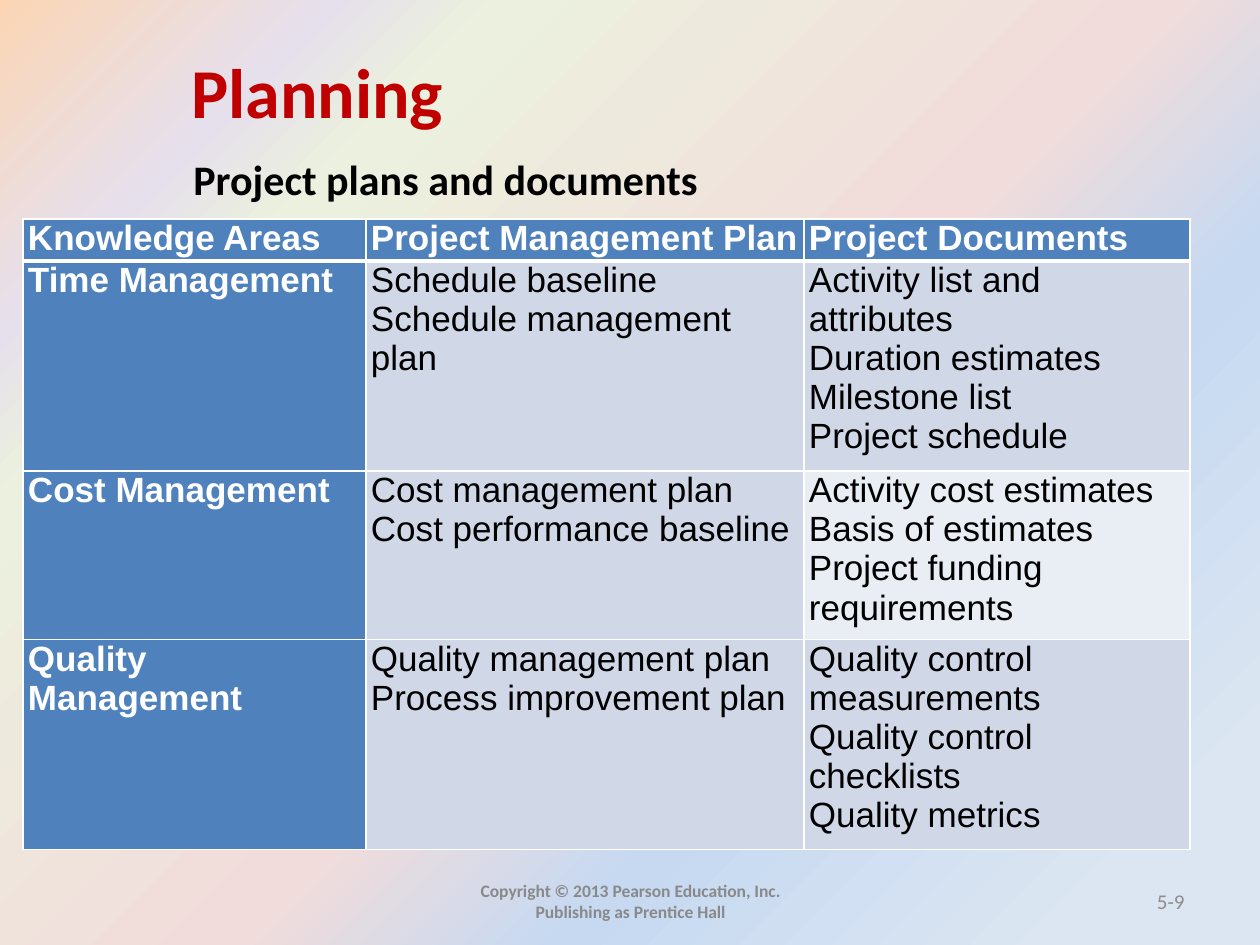
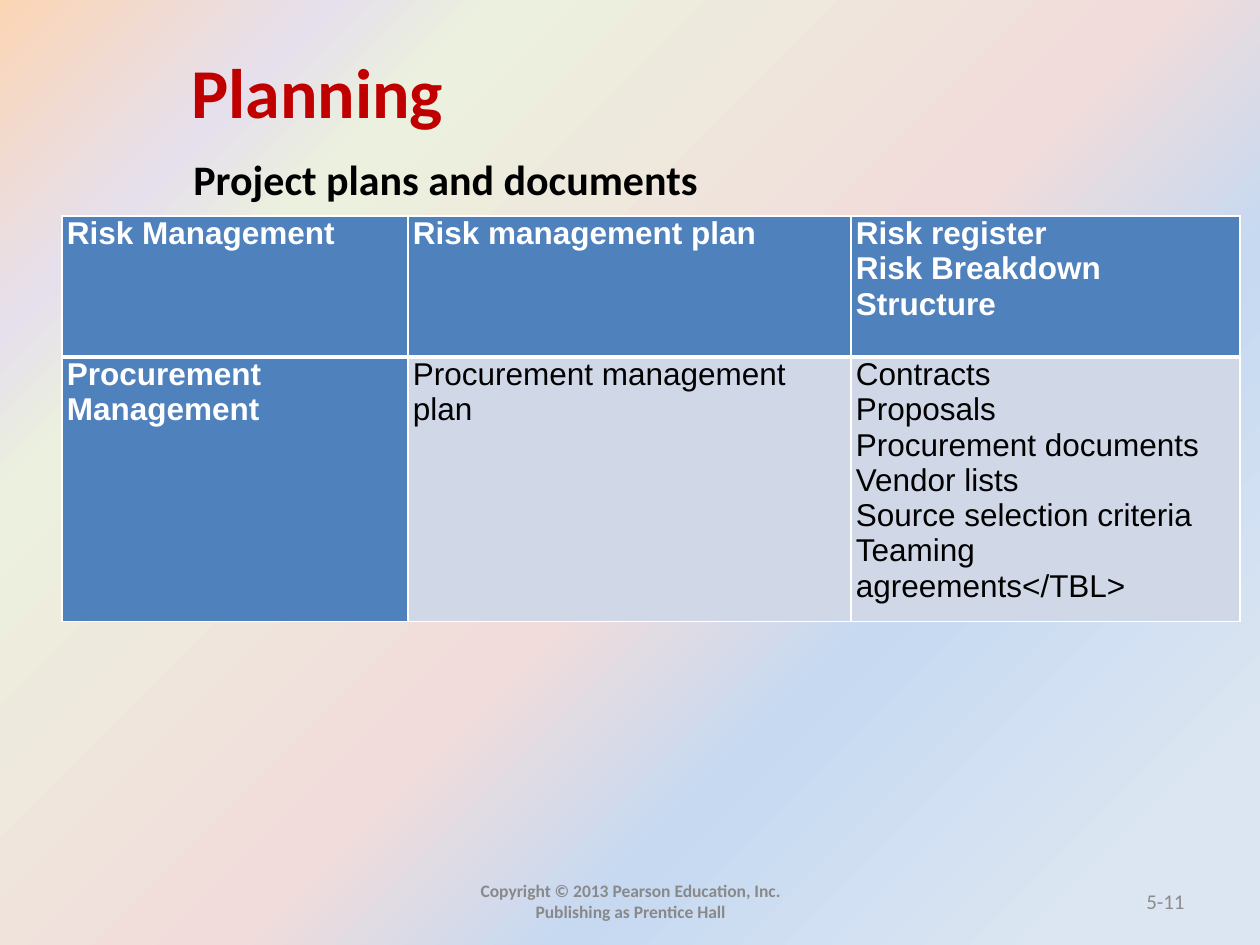
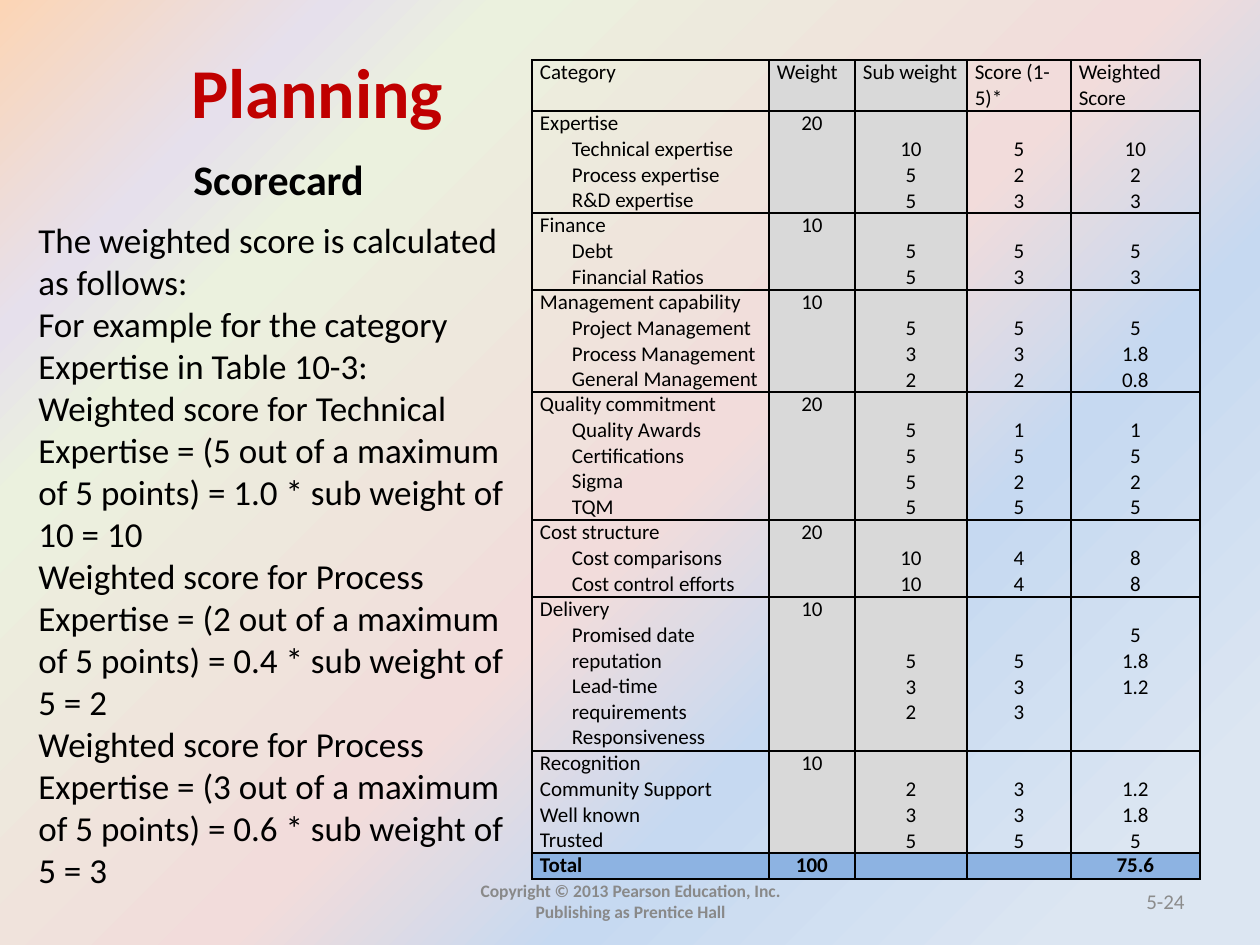
from lxml.etree import SubElement
from pptx import Presentation
from pptx.dml.color import RGBColor
from pptx.enum.text import MSO_ANCHOR, PP_ALIGN
from pptx.oxml.ns import qn
from pptx.util import Emu, Pt

HUES = {
    "title": "C00000", "ink": "000000", "white": "FFFFFF", "foot": "898989",
    "page": "8C8C8C", "head": "4F81BD", "band": "D0D8E8", "pale": "E9EDF4",
    "gray": "D9D9D9", "total": "8DB3E2",
}
STOPS = [(9, "DCE6F2"), (32, "C6D9F1"), (47, "F2DCDB"),
         (77, "EBF1DE"), (85, "E6E0EC"), (100, "FCD5B5")]
PAGE = (0, 0, 1260, 945)
COPY = "Copyright © 2013 Pearson Education, Inc. Publishing as Prentice Hall"

AREAS = [
    ["Knowledge Areas", "Project Management Plan", "Project Documents"],
    ["Time Management", "Schedule baseline\nSchedule management plan",
     "Activity list and attributes\nDuration estimates\nMilestone list\nProject schedule"],
    ["Cost Management", "Cost management plan\nCost performance baseline",
     "Activity cost estimates\nBasis of estimates\nProject funding requirements"],
    ["Quality Management", "Quality management plan\nProcess improvement plan",
     "Quality control measurements\nQuality control checklists\nQuality metrics"],
]
RISKS = [
    ["Risk Management", "Risk management plan", "Risk register\nRisk Breakdown Structure"],
    ["Procurement Management", "Procurement management plan",
     "Contracts\nProposals\nProcurement documents\nVendor lists\n"
     "Source selection criteria\nTeaming agreements</TBL>"],
]
SCORES = [
    ["Category", "Weight", "Sub weight", "Score (1-5)*", "Weighted Score"],
    ["Expertise\nTechnical expertise\nProcess expertise\nR&D expertise",
     "20", "10\n5\n5", "5\n2\n3", "10\n2\n3"],
    ["Finance\nDebt\nFinancial Ratios", "10", "5\n5", "5\n3", "5\n3"],
    ["Management capability\nProject Management\nProcess Management\nGeneral Management",
     "10", "5\n3\n2", "5\n3\n2", "5\n1.8\n0.8"],
    ["Quality commitment\nQuality Awards\nCertifications\nSigma\nTQM",
     "20", "5\n5\n5\n5", "1\n5\n2\n5", "1\n5\n2\n5"],
    ["Cost structure\nCost comparisons\nCost control efforts",
     "20", "10\n10", "4\n4", "8\n8"],
    ["Delivery\nPromised date reputation\nLead-time requirements\nResponsiveness",
     "10", "5\n3\n2", "5\n3\n3", "5\n1.8\n1.2"],
    ["Recognition\nCommunity Support\nWell known\nTrusted",
     "10", "2\n3\n5", "3\n3\n5", "1.2\n1.8\n5"],
    ["Total", "100", "", "", "75.6"],
]
NOTES = "\n".join([
    "The weighted score is calculated as follows:",
    "For example for the category Expertise in Table 10-3:",
    "Weighted score for Technical Expertise = (5 out of a maximum of 5 points)"
    " = 1.0 * sub weight of 10 = 10",
    "Weighted score for Process Expertise = (2 out of a maximum of 5 points)"
    " = 0.4 * sub weight of 5 = 2",
    "Weighted score for Process Expertise = (3 out of a maximum of 5 points)"
    " = 0.6 * sub weight of 5 = 3",
])


def px(count):
    return Emu(round(count * 914400 / 126))


def write(frame, text, size, hue="ink", bold=False, align=PP_ALIGN.LEFT,
          face="Calibri", indent=0):
    for i, line in enumerate(text.split("\n")):
        para = frame.add_paragraph() if i else frame.paragraphs[0]
        if i and indent:
            para._p.get_or_add_pPr().set("marL", str(px(indent)))
        para.alignment = align
        if line:
            para.text = line
        else:
            SubElement(para._p, qn("a:endParaRPr"), sz=str(size * 100))
        font = para.font
        font.name, font.size, font.bold = face, Pt(size), bold
        font.color.rgb = RGBColor.from_string(HUES[hue])


def label(slide, box, text, size, wrap=True, mid=False, **style):
    frame = slide.shapes.add_textbox(*map(px, box)).text_frame
    frame.word_wrap = wrap
    frame.vertical_anchor = MSO_ANCHOR.MIDDLE if mid else MSO_ANCHOR.TOP
    write(frame, text, size, **style)


def edge(cell, hue, top=1, bottom=1):
    props = cell._tc.get_or_add_tcPr()
    for side, width in zip("LRTB", (1, 1, top, bottom)):
        line = SubElement(props, qn(f"a:ln{side}"), w=str(Pt(width)))
        fill = SubElement(line, qn("a:solidFill"))
        SubElement(fill, qn("a:srgbClr"), val=HUES[hue])


def paint(cell, hue):
    if hue:
        cell.fill.solid()
        cell.fill.fore_color.rgb = RGBColor.from_string(HUES[hue])
    else:
        cell.fill.background()


def grid(slide, spot, cols, rows, pad):
    box = (*spot, sum(cols), sum(rows))
    table = slide.shapes.add_table(len(rows), len(cols), *map(px, box)).table
    table.first_row = table.horz_banding = False
    for col, width in zip(table.columns, cols):
        col.width = px(width)
    for row, height in zip(table.rows, rows):
        row.height = px(height)
    for cell in table.iter_cells():
        cell.margin_left = cell.margin_right = px(pad)
        cell.margin_top = cell.margin_bottom = 0
    return table


def plan(slide, spot, cols, rows, data, size, pale=()):
    table = grid(slide, spot, cols, rows, 5)
    for r, texts in enumerate(data):
        for c, text in enumerate(texts):
            cell = table.cell(r, c)
            head = r == 0 or c == 0
            edge(cell, "white", 3 if r == 1 else 1, 3 if r == 0 else 1)
            paint(cell, "head" if head else "pale" if (r, c) in pale else "band")
            write(cell.text_frame, text, size, "white" if head else "ink", head,
                  face="Arial")


def score(slide, spot):
    cols = [237, 86, 112, 104, 129]
    rows = [51, 102, 77, 102, 128, 77, 154, 102, 26]
    table = grid(slide, spot, cols, rows, 8)
    last = len(SCORES) - 1
    for r, texts in enumerate(SCORES):
        for c, text in enumerate(texts):
            cell = table.cell(r, c)
            edge(cell, "ink")
            paint(cell, "total" if r == last else "gray" if c in (1, 2) else None)
            if 0 < r < last and c > 1:
                cell.margin_top = px(26)
                if c < 4:
                    cell.vertical_anchor = MSO_ANCHOR.MIDDLE
            write(cell.text_frame, text, 12, bold=r == last,
                  align=PP_ALIGN.CENTER if r and c else PP_ALIGN.LEFT,
                  indent=32 if c == 0 and texts[0][:5] != "Recog" else 0)


def base(deck, box, topic, page):
    x, y, w, h = box
    slide = deck.slides.add_slide(deck.slide_layouts[6])
    label(slide, (x + 179, y + 42, 280, 97), "Planning", 40, wrap=False,
          hue="title", bold=True)
    label(slide, (x + 181, y + 147, 541, 47), topic, 24, bold=True)
    label(slide, (x + 431, y + h - 69, 399, 50), COPY, 10, mid=True,
          hue="foot", bold=True, align=PP_ALIGN.CENTER)
    label(slide, (x + w - 357, y + h - 69, 294, 50), page, 12, mid=True,
          hue="page", align=PP_ALIGN.RIGHT)
    return slide


def back(master):
    fill = master.background.fill
    fill.gradient()
    fill.gradient_angle = 135
    stops = master.element.find(".//" + qn("a:gsLst"))
    for old in list(stops):
        stops.remove(old)
    for pos, hue in STOPS:
        stop = SubElement(stops, qn("a:gs"), pos=str(pos * 1000))
        SubElement(stop, qn("a:srgbClr"), val=hue)


def main():
    deck = Presentation()
    deck.slide_width, deck.slide_height = map(px, PAGE[2:])
    back(deck.slide_master)
    topic = "Project plans and documents"
    slide = base(deck, PAGE, topic, "5-9")
    plan(slide, (23, 219), [343, 438, 386], [39, 195, 156, 195], AREAS, 20, {(2, 2)})
    slide = base(deck, PAGE, topic, "5-11")
    plan(slide, (62, 216), [346, 443, 389], [141, 247], RISKS, 18)
    slide = base(deck, PAGE, "Scorecard", "5-24")
    score(slide, (532, 60))
    label(slide, (26, 212, 494, 730), NOTES, 20)
    deck.save("out.pptx")


if __name__ == "__main__":
    main()
